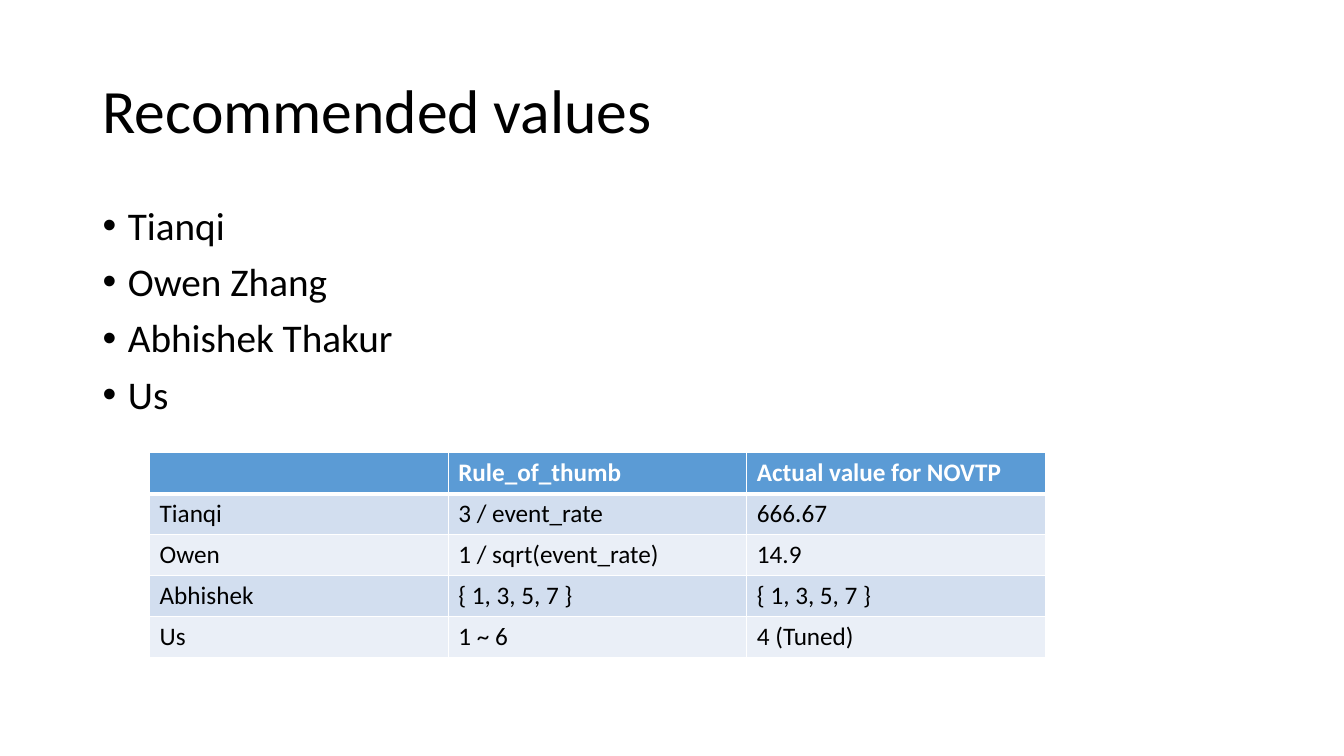
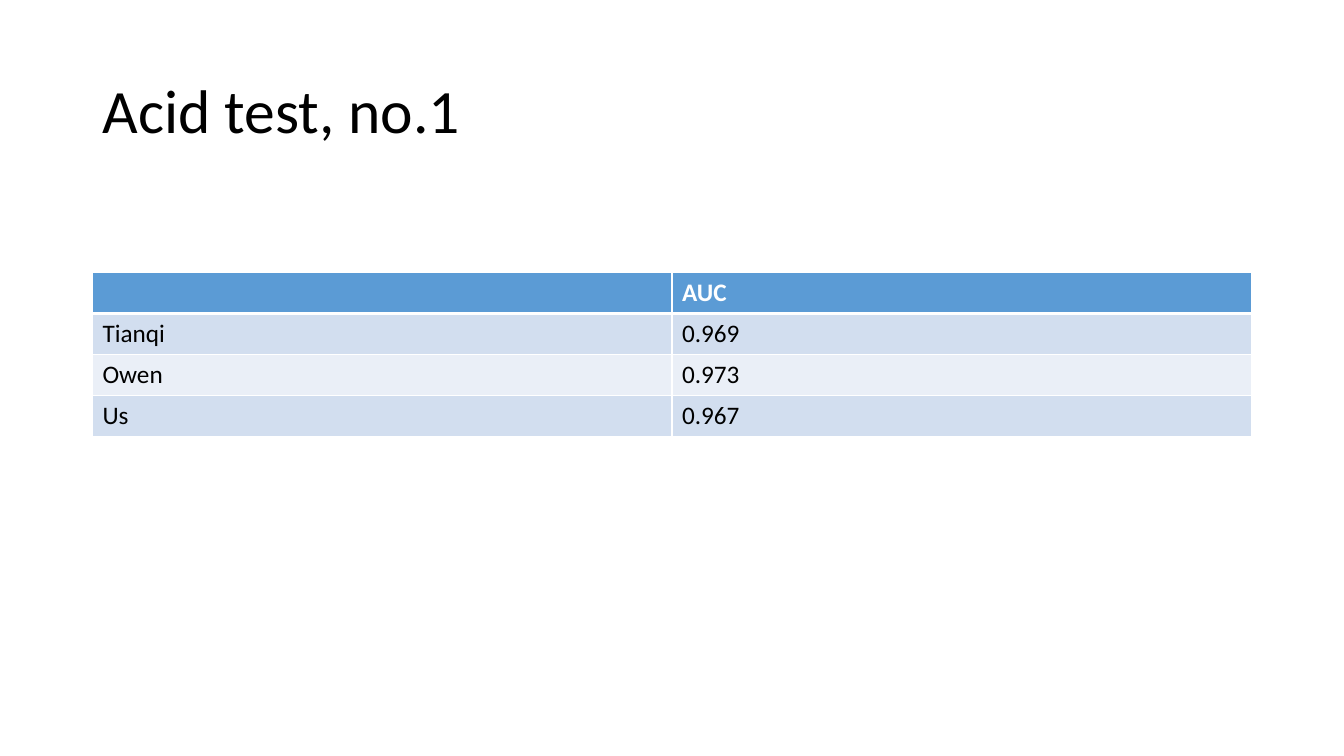
"""Build two slides that compare recommended values and their test scores."""
from dataclasses import dataclass

from lxml import etree
from pptx import Presentation
from pptx.dml.color import RGBColor
from pptx.enum.text import MSO_ANCHOR, MSO_AUTO_SIZE, PP_ALIGN
from pptx.oxml.ns import qn
from pptx.slide import Slide
from pptx.util import Cm, Pt

LEFT = PP_ALIGN.LEFT
TOP, MIDDLE = MSO_ANCHOR.TOP, MSO_ANCHOR.MIDDLE
NO_FIT = MSO_AUTO_SIZE.NONE

BLACK = RGBColor(0x00, 0x00, 0x00)
WHITE = RGBColor(0xFF, 0xFF, 0xFF)
HEADER_BLUE = RGBColor(0x5B, 0x9B, 0xD5)
BAND_DARK = RGBColor(0xD2, 0xDE, 0xEF)
BAND_LIGHT = RGBColor(0xEA, 0xEF, 0xF7)

FONT = "Calibri"
MARGIN = Cm(2.33)
CONTENT_WIDTH = Cm(29.21)
ROW_HEIGHT = Cm(1.03)
BULLET_INDENT = Cm(0.64)
TITLE_LAYOUT, TITLE_ONLY_LAYOUT = 1, 5


@dataclass(frozen=True)
class TableData:
    """Place and rows of a table; the first row is the header."""
    left: int
    top: int
    width: int
    rows: tuple[tuple[str, ...], ...]


@dataclass(frozen=True)
class Page:
    """Content of one slide."""
    title: str
    table: TableData
    bullets: tuple[str, ...] = ()


PAGES = (
    Page(
        "Recommended values",
        TableData(Cm(3.77), Cm(11.41), Cm(22.58), (
            ("", "Rule_of_thumb", "Actual value for NOVTP"),
            ("Tianqi", "3 / event_rate", "666.67"),
            ("Owen", "1 / sqrt(event_rate)", "14.9"),
            ("Abhishek", "{ 1, 3, 5, 7 }", "{ 1, 3, 5, 7 }"),
            ("Us", "1 ~ 6", "4 (Tuned)"),
        )),
        ("Tianqi", "Owen Zhang", "Abhishek Thakur", "Us"),
    ),
    Page(
        "Acid test, no.1",
        TableData(MARGIN, Cm(6.87), CONTENT_WIDTH, (
            ("", "AUC"),
            ("Tianqi", "0.969"),
            ("Owen", "0.973"),
            ("Us", "0.967"),
        )),
    ),
)


def style_font(para, size: int, color: RGBColor, bold: bool = False) -> None:
    """Set the shared font on a paragraph."""
    para.font.name = FONT
    para.font.size = Pt(size)
    para.font.bold = bold
    para.font.color.rgb = color


def fill_placeholder(box, top: int, height: int, lines: tuple[str, ...],
                     size: int, anchor: MSO_ANCHOR) -> None:
    """Move a placeholder to the content column and write its lines."""
    box.left, box.top = MARGIN, top
    box.width, box.height = CONTENT_WIDTH, height
    frame = box.text_frame
    frame.text = "\n".join(lines)
    frame.word_wrap = True
    frame.auto_size = NO_FIT
    frame.vertical_anchor = anchor
    for para in frame.paragraphs:
        para.alignment = LEFT
        para.line_spacing = 0.9
        style_font(para, size, BLACK)


def add_bullets(box, lines: tuple[str, ...]) -> None:
    """Write a bulleted list into the body placeholder."""
    fill_placeholder(box, Cm(5.07), Cm(12.09), lines, 28, TOP)
    for para in box.text_frame.paragraphs:
        para.space_before = Pt(10)
        properties = para._p.get_or_add_pPr()
        properties.set("marL", str(BULLET_INDENT))
        properties.set("indent", str(-BULLET_INDENT))


def set_borders(cell, bottom: int) -> None:
    """Draw white cell borders, with the given width in points below."""
    properties = cell._tc.get_or_add_tcPr()
    widths = {"a:lnL": 1, "a:lnR": 1, "a:lnT": 1, "a:lnB": bottom}
    for position, (side, width) in enumerate(widths.items()):
        line = etree.Element(qn(side), w=str(Pt(width)))
        fill = etree.SubElement(line, qn("a:solidFill"))
        etree.SubElement(fill, qn("a:srgbClr"), val=str(WHITE))
        properties.insert(position, line)


def add_data_table(slide: Slide, data: TableData) -> None:
    """Add a table with a blue header and banded rows."""
    row_count, column_count = len(data.rows), len(data.rows[0])
    table = slide.shapes.add_table(
        row_count, column_count, data.left, data.top,
        data.width, ROW_HEIGHT * row_count).table
    for row, texts in enumerate(data.rows):
        header = row == 0
        band = BAND_DARK if row % 2 else BAND_LIGHT
        for column, text in enumerate(texts):
            cell = table.cell(row, column)
            cell.text = text
            cell.fill.solid()
            cell.fill.fore_color.rgb = HEADER_BLUE if header else band
            style_font(cell.text_frame.paragraphs[0], 18,
                       WHITE if header else BLACK, header)
            above_body = 3 if header else 1
            set_borders(cell, above_body)


def add_page(deck, page: Page) -> None:
    """Add one slide with its title, optional list and table."""
    layout = TITLE_LAYOUT if page.bullets else TITLE_ONLY_LAYOUT
    slide = deck.slides.add_slide(deck.slide_layouts[layout])
    fill_placeholder(slide.shapes.title, Cm(1.01), Cm(3.68),
                     (page.title,), 44, MIDDLE)
    if page.bullets:
        add_bullets(slide.placeholders[1], page.bullets)
    add_data_table(slide, page.table)


def main() -> None:
    """Build and save the deck."""
    deck = Presentation()
    deck.slide_width, deck.slide_height = Cm(33.87), Cm(19.05)
    for page in PAGES:
        add_page(deck, page)
    deck.save("out.pptx")


main()
